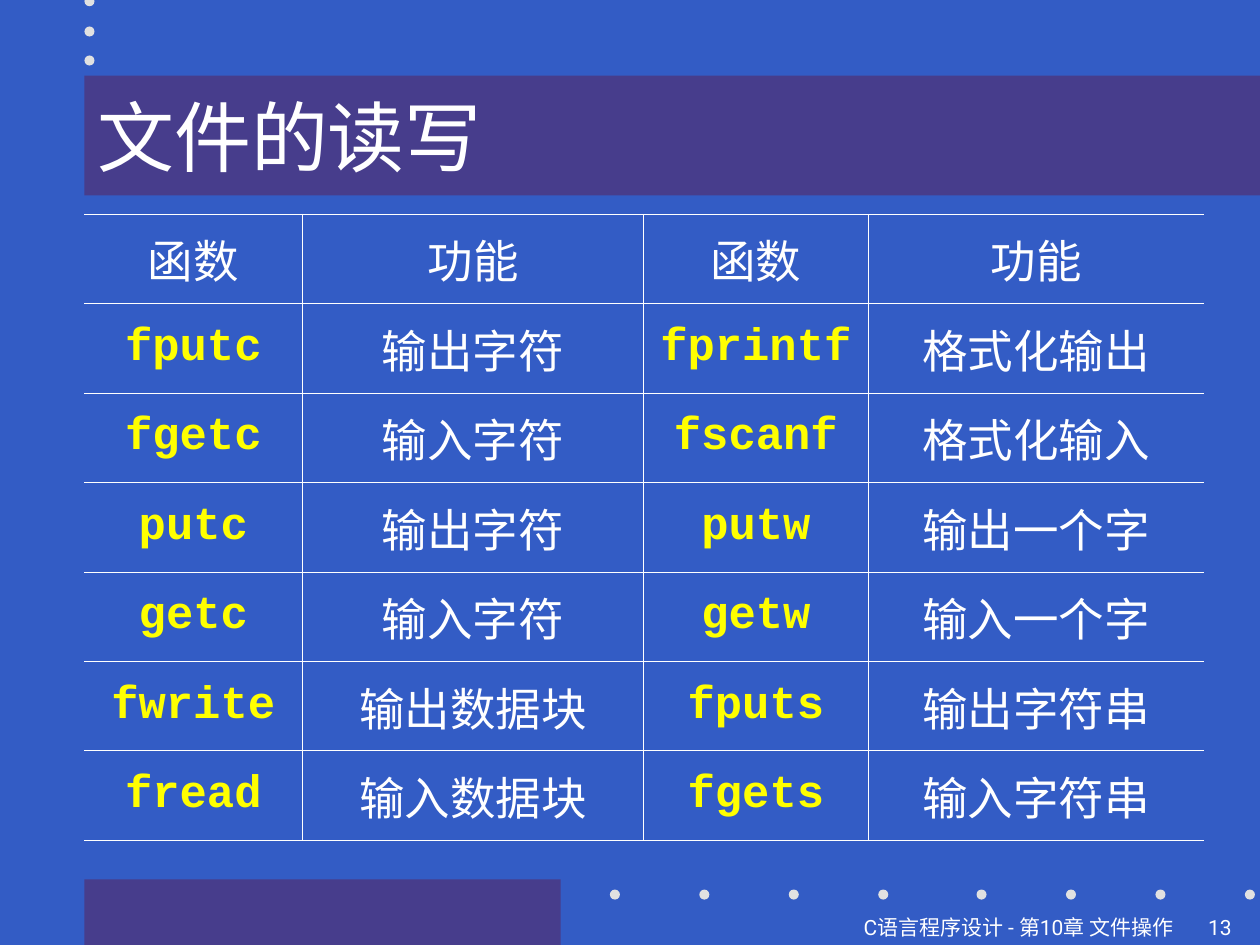
import dataclasses

import pptx
import pptx.dml.color
import pptx.enum.shapes
import pptx.enum.text
import pptx.oxml
import pptx.oxml.ns
import pptx.util

Inches = pptx.util.Inches
Pt = pptx.util.Pt
Align = pptx.enum.text.PP_ALIGN
Anchor = pptx.enum.text.MSO_ANCHOR
Shape = pptx.enum.shapes.MSO_SHAPE


@dataclasses.dataclass(frozen=True)
class Theme:
    back: str = "335CC5"
    band: str = "473D8C"
    dot: str = "E1E1E1"
    ink: str = "FFFFFF"
    code: str = "FFFF00"
    serif: str = "Times New Roman"
    mono: str = "Courier New"
    sans: str = "Roboto"
    head: int = 44
    cell: int = 26
    foot: int = 12
    rule: float = 0.45


def paint(fill, color):
    fill.solid()
    fill.fore_color.rgb = pptx.dml.color.RGBColor.from_string(color)


def write(frame, text, *, font, size, color, bold=False,
          align=Align.LEFT, anchor=Anchor.TOP):
    frame.word_wrap = True
    frame.vertical_anchor = anchor
    para = frame.paragraphs[0]
    para.alignment = align
    para.space_before = Pt(0)
    run = para.add_run()
    run.text = text
    run.font.name = font
    run.font.size = Pt(size)
    run.font.bold = bold
    paint(run.font.fill, color)


def edge(cell, side, color, width):
    """Draw one cell border; side is L, R, T or B, and no color hides it."""
    fill = (f'<a:solidFill><a:srgbClr val="{color}"/></a:solidFill>'
            if color else "<a:noFill/>")
    line = (f'<a:ln{side} {pptx.oxml.ns.nsdecls("a")} w="{Pt(width)}">'
            f"{fill}</a:ln{side}>")
    cell._tc.get_or_add_tcPr().append(pptx.oxml.parse_xml(line))


class Deck:
    """Holds the theme and the slide being drawn."""

    def __init__(self, theme):
        self.theme = theme
        self.file = pptx.Presentation()
        self.file.slide_width = Inches(10)
        self.file.slide_height = Inches(7.5)
        self.slide = self.file.slides.add_slide(self.file.slide_layouts[5])
        paint(self.slide.background.fill, theme.back)

    def shape(self, kind, color, *box):
        shape = self.slide.shapes.add_shape(kind, *map(Inches, box))
        shape.shadow.inherit = False
        paint(shape.fill, color)
        shape.line.fill.background()

    def dot(self, left, top):
        self.shape(Shape.OVAL, self.theme.dot, left, top, 0.08, 0.08)

    def title(self, text, *box):
        title = self.slide.shapes.title
        title.left, title.top, title.width, title.height = map(Inches, box)
        paint(title.fill, self.theme.band)
        title.text_frame.auto_size = pptx.enum.text.MSO_AUTO_SIZE.NONE
        write(title.text_frame, text, font=self.theme.serif,
              size=self.theme.head, color=self.theme.ink,
              anchor=Anchor.MIDDLE)

    def note(self, text, *box, align=Align.LEFT):
        label = self.slide.shapes.add_textbox(*map(Inches, box))
        write(label.text_frame, text, font=self.theme.sans,
              size=self.theme.foot, color=self.theme.ink, align=align)

    def table(self, rows, left, top, widths, height):
        """Lay out function names in even columns, their uses in odd ones."""
        theme = self.theme
        frame = self.slide.shapes.add_table(
            len(rows), len(widths), Inches(left), Inches(top),
            Inches(sum(widths)), Inches(height * len(rows)))
        table = frame.table
        table.first_row = table.horz_banding = False
        for col, width in zip(table.columns, widths):
            col.width = Inches(width)
        for r, row in enumerate(rows):
            table.rows[r].height = Inches(height)
            for c, text in enumerate(row):
                cell = table.cell(r, c)
                edge(cell, "L", theme.ink if c else None, theme.rule)
                edge(cell, "R", theme.ink if c < len(row) - 1 else None,
                     theme.rule)
                edge(cell, "T", theme.ink, theme.rule)
                edge(cell, "B", theme.ink, theme.rule)
                cell.fill.background()
                cell.vertical_anchor = Anchor.MIDDLE
                code = r > 0 and c % 2 == 0
                write(cell.text_frame, text, size=theme.cell, bold=code,
                      font=theme.mono if code else theme.serif,
                      color=theme.code if code else theme.ink,
                      align=Align.CENTER)


ROWS = [
    ("函数", "功能", "函数", "功能"),
    ("fputc", "输出字符", "fprintf", "格式化输出"),
    ("fgetc", "输入字符", "fscanf", "格式化输入"),
    ("putc", "输出字符", "putw", "输出一个字"),
    ("getc", "输入字符", "getw", "输入一个字"),
    ("fwrite", "输出数据块", "fputs", "输出字符串"),
    ("fread", "输入数据块", "fgets", "输入字符串"),
]


def main():
    deck = Deck(Theme())
    deck.shape(Shape.RECTANGLE, deck.theme.band, 0.67, 6.98, 3.78, 0.52)
    for top in (-0.03, 0.21, 0.44):
        deck.dot(0.67, top)
    for start in (4.84, 7.75):
        for i in range(4):
            deck.dot(start + 0.71 * i, 7.06)
    deck.title("文件的读写", 0.67, 0.6, 9.33, 0.95)
    deck.table(ROWS, 0.67, 1.7, (1.73, 2.71, 1.78, 2.67), 0.71)
    deck.note("C语言程序设计 - 第10章 文件操作", 0, 7.21, 9.41, 0.28,
              align=Align.RIGHT)
    deck.note("13", 9.49, 7.21, 0.51, 0.28)
    deck.file.save("out.pptx")


if __name__ == "__main__":
    main()
